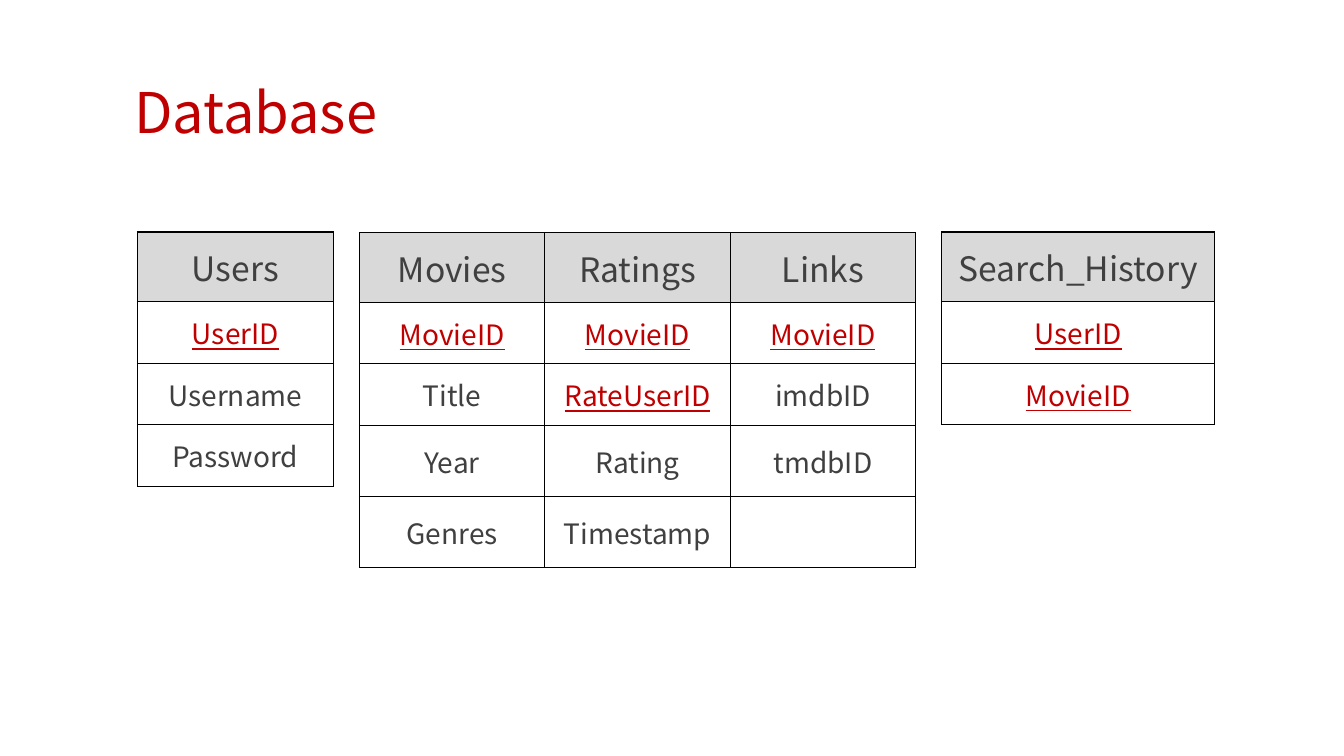
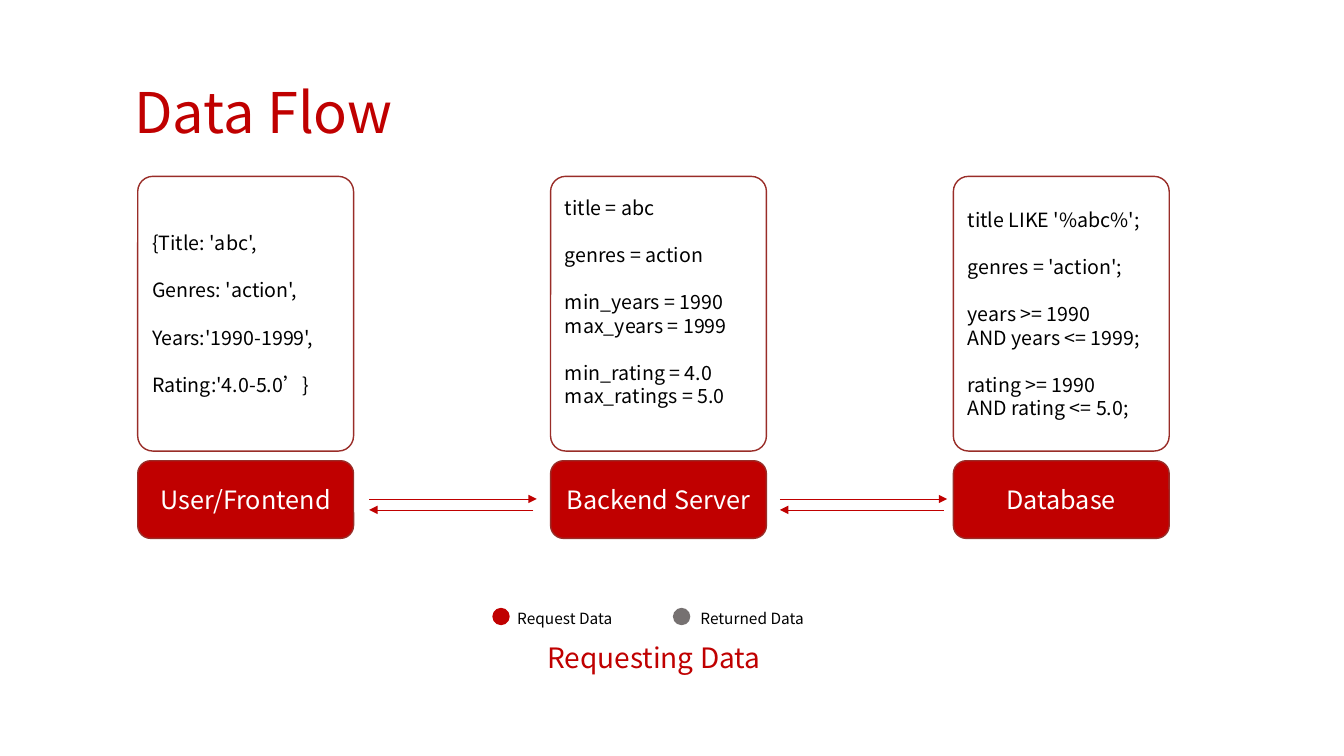
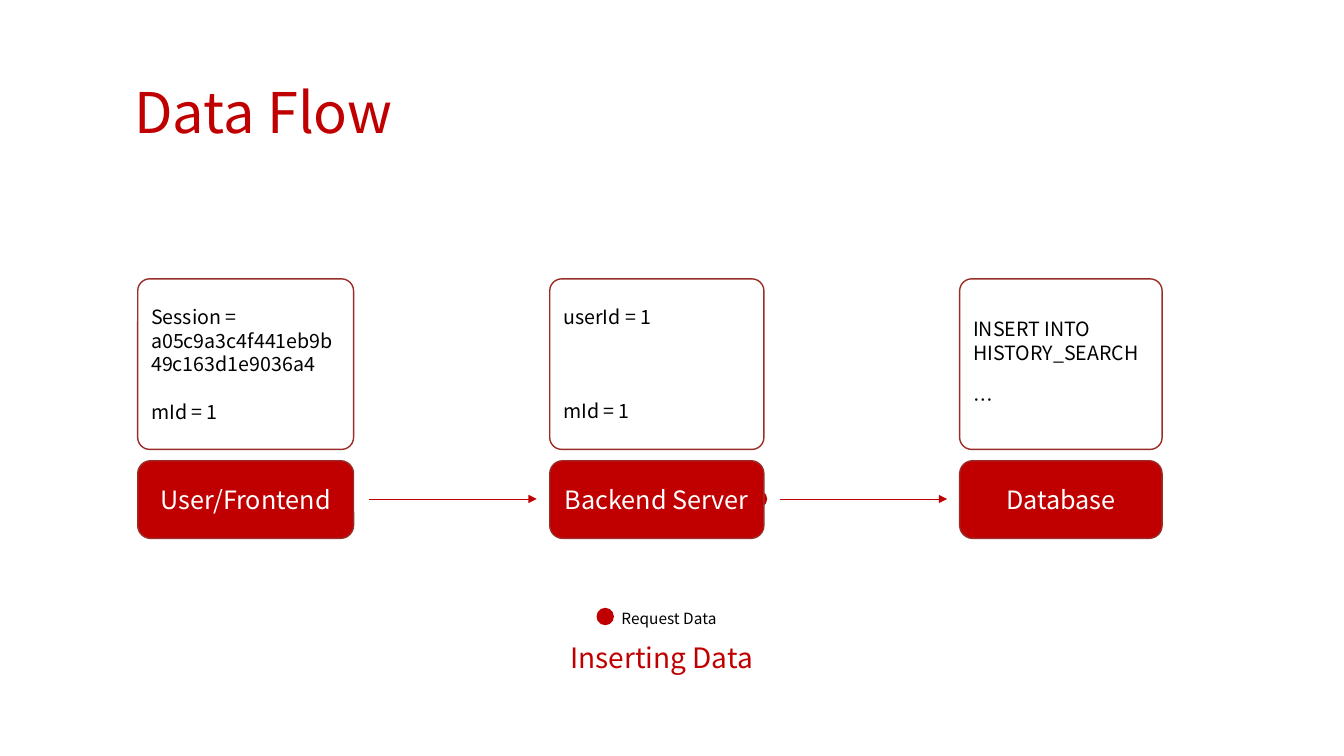
from pptx import Presentation
from pptx import util as u
from pptx.dml.color import RGBColor
from pptx.enum import shapes, text
from pptx.oxml.ns import qn
from lxml import etree

COLOURS = {"red": "C00000", "edge": "992D28", "grey": "767171", "header": "D9D9D9",
           "body": "404040", "black": "000000", "white": "FFFFFF"}
FONT = "Noto Sans CJK SC"
COLUMNS, ROWS = 160, 90
KEYS = {"UserID", "MovieID", "RateUserID"}
LINE = 16.8
LABELS = ["User/Frontend", "Backend Server", "Database"]
GAPS = [(43.95, 63.9), (92.85, 112.75)]


class Deck:
    """Holds the style and the current slide, measured on a 160 by 90 grid."""

    def __init__(self):
        self.prs = Presentation()
        self.prs.slide_width, self.prs.slide_height = u.Inches(13.33), u.Inches(7.5)
        self.slide = None

    def x(self, columns):
        return round(self.prs.slide_width * columns / COLUMNS)

    def y(self, rows):
        return round(self.prs.slide_height * rows / ROWS)

    def place(self, left, top, width, height):
        return self.x(left), self.y(top), self.x(width), self.y(height)

    def colour(self, name):
        return RGBColor.from_string(COLOURS[name])

    def new_slide(self, title):
        self.slide = self.prs.slides.add_slide(self.prs.slide_layouts[6])
        self.text(title, 14.8, 8.6, 34.4, 9.2, 40, "red")

    def style(self, paragraph, size, colour, underline=False):
        values = {"name": FONT, "size": u.Pt(size), "underline": underline}
        for key, value in values.items():
            setattr(paragraph.font, key, value)
        paragraph.font.color.rgb = self.colour(colour)

    def text(self, words, left, top, width, height, size, colour):
        box = self.slide.shapes.add_textbox(*self.place(left, top, width, height))
        values = {"word_wrap": False, "vertical_anchor": text.MSO_ANCHOR.MIDDLE}
        for key, value in values.items():
            setattr(box.text_frame, key, value)
        paragraph = box.text_frame.paragraphs[0]
        paragraph.text = words
        self.style(paragraph, size, colour)

    def shape(self, kind, area, fill, edge):
        shape = self.slide.shapes.add_shape(kind, *self.place(*area))
        shape.shadow.inherit = False
        shape.fill.solid()
        shape.fill.fore_color.rgb = self.colour(fill)
        shape.line.color.rgb = self.colour(edge)
        shape.line.width = u.Pt(1)
        return shape

    def dot(self, left, top, colour):
        self.shape(shapes.MSO_SHAPE.OVAL, (left, top, 1.9, 1.9), colour, colour)

    def label(self, words, left, width):
        shape = self.shape(shapes.MSO_SHAPE.ROUNDED_RECTANGLE, (left, 54.85, width, 9.25),
                           "red", "edge")
        paragraph = shape.text_frame.paragraphs[0]
        paragraph.text = words
        paragraph.alignment = text.PP_ALIGN.CENTER
        self.style(paragraph, 18, "white")

    def card(self, lines, left, top, width, height, blank_below=0):
        """Draw a card; each line is its text and the blank lines above it."""
        shape = self.shape(shapes.MSO_SHAPE.ROUNDED_RECTANGLE, (left, top, width, height),
                           "white", "edge")
        shape.adjustments[0] = 0.07
        frame = shape.text_frame
        frame.margin_bottom = u.Inches(0.05) + u.Pt(LINE * blank_below)
        for index, (words, gap) in enumerate(lines):
            paragraph = frame.add_paragraph() if index else frame.paragraphs[0]
            paragraph.text = words
            values = {"alignment": text.PP_ALIGN.LEFT, "line_spacing": u.Pt(LINE),
                      "space_before": u.Pt(LINE * gap)}
            for key, value in values.items():
                setattr(paragraph, key, value)
            self.style(paragraph, 14, "black")

    def arrow(self, start, end, level):
        line = self.slide.shapes.add_connector(
            shapes.MSO_CONNECTOR.STRAIGHT, self.x(start), self.y(level),
            self.x(end), self.y(level))
        line.line.color.rgb = self.colour("red")
        line.line.width = u.Pt(0.5)
        etree.SubElement(line.line._get_or_add_ln(), qn("a:tailEnd"), type="triangle")
        etree.SubElement(line._element.spPr, qn("a:effectLst"))

    def legend(self, words, left, text_left, colour):
        self.dot(left, 72.45, colour)
        self.text(words, text_left, 71.8, 15.3, 3.5, 11, "black")

    def caption(self, words, left, width):
        self.text(words, left, 75.65, width, 5.3, 20, "red")

    def border(self, cell):
        properties = cell._tc.get_or_add_tcPr()
        for index, side in enumerate(("lnL", "lnR", "lnT", "lnB")):
            edge = etree.Element(qn("a:" + side), w=str(u.Pt(1)))
            fill = etree.SubElement(edge, qn("a:solidFill"))
            etree.SubElement(fill, qn("a:srgbClr"), val=COLOURS["black"])
            properties.insert(index, edge)

    def table(self, records, left, top, column, heights):
        count = len(records[0])
        table = self.slide.shapes.add_table(
            len(records), count,
            *self.place(left, top, column * count, sum(heights))).table
        for each in table.columns:
            each.width = self.x(column)
        for row, (record, height) in enumerate(zip(records, heights)):
            table.rows[row].height = self.y(height)
            for col, words in enumerate(record):
                self.cell(table.cell(row, col), words, row == 0)

    def cell(self, cell, words, header):
        values = {"vertical_anchor": text.MSO_ANCHOR.MIDDLE}
        for side in ("left", "right", "top", "bottom"):
            values["margin_" + side] = u.Inches(0.1)
        for key, value in values.items():
            setattr(cell, key, value)
        cell.fill.solid()
        cell.fill.fore_color.rgb = self.colour("header" if header else "white")
        self.border(cell)
        paragraph = cell.text_frame.paragraphs[0]
        paragraph.text = words
        paragraph.alignment = text.PP_ALIGN.CENTER
        is_key = words in KEYS
        self.style(paragraph, 24 if header else 20, "red" if is_key else "body", is_key)


def database(deck):
    deck.new_slide("Database")
    header, row, tall = 8.28, 7.34, 8.46
    deck.table([["Movies", "Ratings", "Links"],
                ["MovieID", "MovieID", "MovieID"],
                ["Title", "RateUserID", "imdbID"],
                ["Year", "Rating", "tmdbID"],
                ["Genres", "Timestamp", ""]],
               42.78, 27.7, 22.08, [header, row, row, tall, tall])
    deck.table([["Users"], ["UserID"], ["Username"], ["Password"]],
               16.35, 27.62, 23.35, [header, row, row, row])
    deck.table([["Search_History"], ["UserID"], ["MovieID"]],
               112.1, 27.62, 32.5, [header, row, row])


def requesting(deck):
    deck.new_slide("Data Flow")
    width = 25.7
    places = [16.4, 65.55, 113.5]
    cards = [
        [("{Title: 'abc',", 0), ("Genres: 'action',", 1), ("Years:'1990-1999',", 1),
         ("Rating:'4.0-5.0’}", 1)],
        [("title = abc", 0), ("genres = action", 1), ("min_years = 1990", 1),
         ("max_years = 1999", 0), ("min_rating = 4.0", 1), ("max_ratings = 5.0", 0)],
        [("title LIKE '%abc%';", 0), ("genres = 'action';", 1), ("years >= 1990", 1),
         ("AND years <= 1999;", 0), ("rating >= 1990", 1), ("AND rating <= 5.0;", 0)],
    ]
    for name, left, lines, blank in zip(LABELS, places, cards, (0, 1, 0)):
        deck.label(name, left, width)
        deck.card(lines, left, 21, width, 32.7, blank)
    for left, right in GAPS:
        deck.arrow(left, right, 59.4)
        deck.arrow(right - 0.4, left, 60.7)
    deck.legend("Request Data", 58.7, 60.4, "red")
    deck.legend("Returned Data", 80.2, 82.2, "grey")
    deck.caption("Requesting Data", 63.95, 29.1)


def inserting(deck):
    deck.new_slide("Data Flow")
    deck.dot(89.35, 58.45, "red")
    places = [(16.4, 25.7), (65.45, 25.5), (114.25, 24.1)]
    cards = [
        [("Session = a05c9a3c4f441eb9b49c163d1e9036a4", 0), ("mId = 1", 1)],
        [("userId = 1", 0), ("mId = 1", 3)],
        [("INSERT INTO HISTORY_SEARCH", 0), ("…", 1)],
    ]
    for name, (left, width), lines in zip(LABELS, places, cards):
        deck.label(name, left, width)
        deck.card(lines, left, 33.2, width, 20.3)
    for left, right in GAPS:
        deck.arrow(left, right, 59.4)
    deck.legend("Request Data", 71.1, 72.8, "red")
    deck.caption("Inserting Data", 66.7, 25.4)


def main():
    deck = Deck()
    for build in (database, requesting, inserting):
        build(deck)
    deck.prs.save("out.pptx")


if __name__ == "__main__":
    main()
